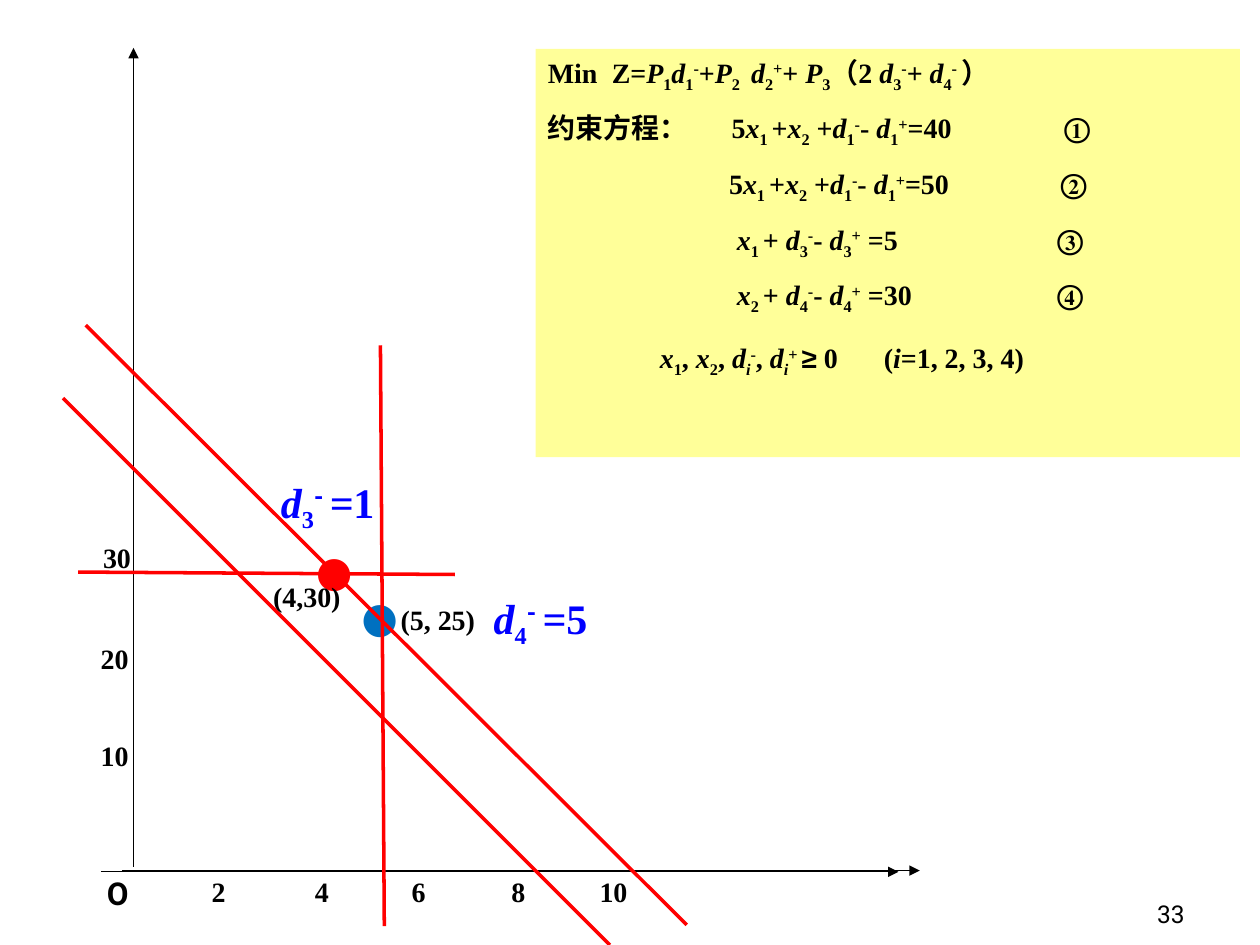
"""Build the goal programming graph slide with its constraint panel."""
from dataclasses import dataclass

from lxml import etree
from pptx import Presentation
from pptx.dml.color import RGBColor
from pptx.enum.shapes import MSO_CONNECTOR, MSO_SHAPE
from pptx.enum.text import MSO_ANCHOR, PP_ALIGN
from pptx.oxml.ns import qn
from pptx.util import Pt

STRAIGHT = MSO_CONNECTOR.STRAIGHT
RECTANGLE = MSO_SHAPE.RECTANGLE
TOP, BOTTOM = MSO_ANCHOR.TOP, MSO_ANCHOR.BOTTOM
LEFT, RIGHT = PP_ALIGN.LEFT, PP_ALIGN.RIGHT


@dataclass(frozen=True)
class Theme:
    """Colours, fonts and sizes of the slide."""
    black: str = "000000"
    red: str = "FF0000"
    blue: str = "0000FF"
    dot_blue: str = "0070C0"
    panel: str = "FFFF99"
    serif: str = "Times New Roman"
    sans: str = "Roboto"
    symbol: str = "Arial"
    number: float = 14
    body: float = 16
    origin: float = 18
    large: float = 24
    axis_width: float = 0.75
    graph_width: float = 2


THEME = Theme()


@dataclass(frozen=True)
class Line:
    """A straight line between two points."""
    start: tuple[float, float]
    end: tuple[float, float]
    color: str = THEME.red
    width: float = THEME.graph_width
    arrow: bool = False


@dataclass(frozen=True)
class Label:
    """A text box with one line of marked-up text."""
    text: str
    left: float
    top: float
    width: float = 54
    height: float = 26.6
    size: float = THEME.body
    color: str = THEME.black
    font: str = THEME.serif
    bold: bool = True
    wrap: bool = True
    align: PP_ALIGN = LEFT
    anchor: MSO_ANCHOR = TOP


@dataclass(frozen=True)
class Formula:
    """A line of the panel with its tab stops and the space above it."""
    text: str
    tabs: tuple[float, ...]
    space_before: float = 10


def deviation(index: str, sign: str) -> str:
    """Return the markup of a deviation variable."""
    return f"|/d|_{index}|^{sign}|"


def deviations(index: str) -> str:
    """Return the markup of a negative minus a positive deviation."""
    return f"{deviation(index, '-')}- {deviation(index, '+')}"


def add_runs(paragraph, markup: str) -> None:
    """Add runs split at bars: / italic, _ below, ^ above, ~ sans, @ symbol."""
    for part in filter(None, markup.split("|")):
        content = part.lstrip("/_^~@")
        marks = part[:len(part) - len(content)]
        run = paragraph.add_run()
        run.text = content
        if "/" in marks:
            run.font.italic = True
        for mark, baseline in (("_", "-25000"), ("^", "30000")):
            if mark in marks:
                run.font.size = None
                run._r.get_or_add_rPr().set("baseline", baseline)
        for mark, name in (("~", THEME.sans), ("@", THEME.symbol)):
            if mark in marks:
                run.font.name = name


def format_paragraph(paragraph, size: float, color: str, font: str, bold: bool) -> None:
    """Set the font shared by all runs of a paragraph."""
    paragraph.font.size = Pt(size)
    paragraph.font.bold = bold
    paragraph.font.name = font
    paragraph.font.color.rgb = RGBColor.from_string(color)


def add_line(slide, line: Line) -> None:
    """Draw a line, with an arrowhead at its end if asked."""
    connector = slide.shapes.add_connector(STRAIGHT, *map(Pt, line.start + line.end))
    connector.line.color.rgb = RGBColor.from_string(line.color)
    connector.line.width = Pt(line.width)
    if line.arrow:
        etree.SubElement(connector.line._get_or_add_ln(), qn("a:tailEnd"), type="triangle")
    etree.SubElement(connector._element.spPr, qn("a:effectLst"))


def add_label(slide, label: Label) -> None:
    """Draw a text label."""
    box = slide.shapes.add_textbox(Pt(label.left), Pt(label.top), Pt(label.width), Pt(label.height))
    frame = box.text_frame
    frame.word_wrap = label.wrap
    frame.vertical_anchor = label.anchor
    paragraph = frame.paragraphs[0]
    paragraph.alignment = label.align
    format_paragraph(paragraph, label.size, label.color, label.font, label.bold)
    add_runs(paragraph, label.text)


def add_panel(slide, formulas: list[Formula]) -> None:
    """Draw the panel of the objective and its constraints."""
    panel = slide.shapes.add_shape(RECTANGLE, Pt(306), Pt(28), Pt(402.5), Pt(233.3))
    panel.shadow.inherit = False
    panel.fill.solid()
    panel.fill.fore_color.rgb = RGBColor.from_string(THEME.panel)
    panel.line.fill.background()
    frame = panel.text_frame
    frame.word_wrap = True
    frame.vertical_anchor = TOP
    for index, formula in enumerate(formulas):
        paragraph = frame.add_paragraph() if index else frame.paragraphs[0]
        paragraph.alignment = LEFT
        paragraph.space_before = Pt(formula.space_before)
        stops = etree.SubElement(paragraph._p.get_or_add_pPr(), qn("a:tabLst"))
        for position in formula.tabs:
            etree.SubElement(stops, qn("a:tab"), pos=str(Pt(position)), algn="l")
        format_paragraph(paragraph, THEME.body, THEME.black, THEME.serif, True)
        add_runs(paragraph, formula.text)


SUM = "5|/x|_1 |+|/x|_2| +" + deviations("1")
FORMULAS = [
    Formula(f"Min\tZ=|/P|_1{deviation('1', '-')}+|/P|_2 | {deviation('2', '+')}+ |/P|_3|"
            f"（2 {deviation('3', '-')}+ {deviation('4', '- ')}）", (36.5,), 0),
    Formula(f"约束方程：\t{SUM}=40\t①", (105, 295)),
    Formula(f"\t{SUM}=50\t②", (103.5, 293)),
    Formula(f"\t|/x|_1 |+ {deviations('3')} =5\t③", (108, 291)),
    Formula(f"\t|/x|_2 |+ {deviations('4')} =30\t④", (108, 291)),
    Formula("\t|/x|_1|, |/x|_2|, |/d|_/i|^-|, |/d|_/i|^+ |@≥| 0\t(|/i|=1, 2, 3, 4)", (64, 192), 14),
]
AXES = [
    Line(start, end, THEME.black, THEME.axis_width, True)
    for start, end in (((57.6, 498.2), (513.4, 498.2)),
                       ((76.3, 495.4), (76.3, 27.4)),
                       ((69.8, 497.5), (525.6, 497.5)))
]
FIRST_GOAL = Line((348.5, 540), (36, 227.5))
OTHER_GOALS = [
    Line((392.4, 528.5), (49, 185.8)),
    Line((219.6, 529.2), (217.4, 197.3)),
    Line((259.9, 328.3), (44.6, 326.9)),
]
DOT = {"width": 38.2, "height": 36, "size": THEME.large, "font": THEME.sans,
       "bold": False, "wrap": False}
SOLUTION_DOT = Label("●", 173.5, 307.4, color=THEME.red, **DOT)
CORNER_DOT = Label("●", 199.4, 334.1, color=THEME.dot_blue, **DOT)
RESULT = {"height": 40.3, "size": THEME.large, "color": THEME.blue}
LABELS = [
    Label("O", 54, 496.1, 48.2, 28.8, THEME.origin, font=THEME.sans),
    Label("(4,30)", 149, 327.6, 181.4),
    Label("(5, 25)", 221.8, 340.6, 181.4),
    Label("|/d|_3|^~- |/=|1", 153.4, 268.6, 110.9, **RESULT),
    Label("|/d|_4|^~- |/=|5", 275, 334.8, 75.6, **RESULT),
    Label("33", 534.2, 498.2, 149.8, 36, THEME.number, font=THEME.sans, bold=False,
          align=RIGHT, anchor=BOTTOM),
]
X_TICKS = [Label(text, left, 496.1) for text, left in
           (("2", 113.8), ("4", 172.8), ("6", 228.2), ("8", 285.1), ("10", 335.5))]
Y_TICKS = [Label(text, left, top) for text, left, top in
           (("30", 51.8, 305.3), ("20", 50.4, 362.9), ("10", 50.4, 418.3))]


def main() -> None:
    """Build and save the presentation."""
    presentation = Presentation()
    presentation.slide_width, presentation.slide_height = Pt(720), Pt(540)
    slide = presentation.slides.add_slide(presentation.slide_layouts[6])
    for axis in AXES:
        add_line(slide, axis)
    add_label(slide, SOLUTION_DOT)
    add_line(slide, FIRST_GOAL)
    add_label(slide, CORNER_DOT)
    for goal in OTHER_GOALS:
        add_line(slide, goal)
    add_panel(slide, FORMULAS)
    for label in LABELS + X_TICKS + Y_TICKS:
        add_label(slide, label)
    presentation.save("out.pptx")


if __name__ == "__main__":
    main()
